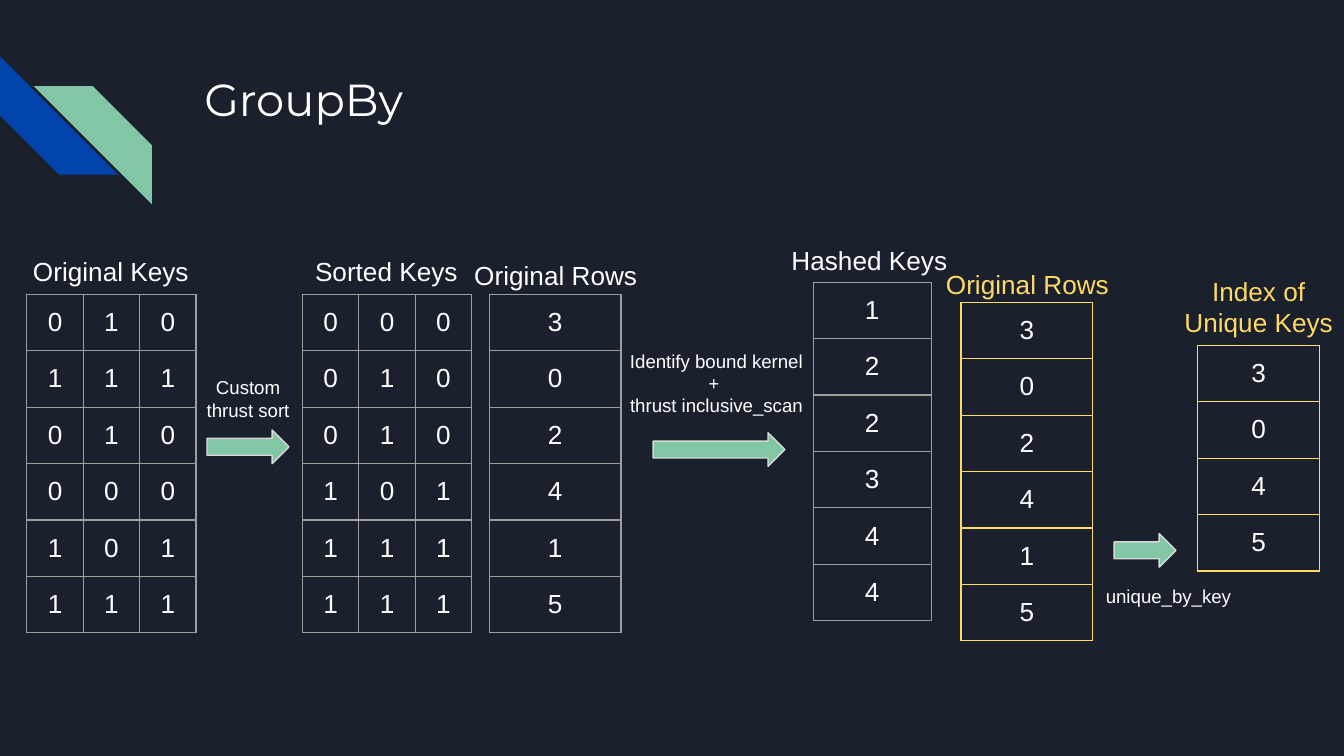
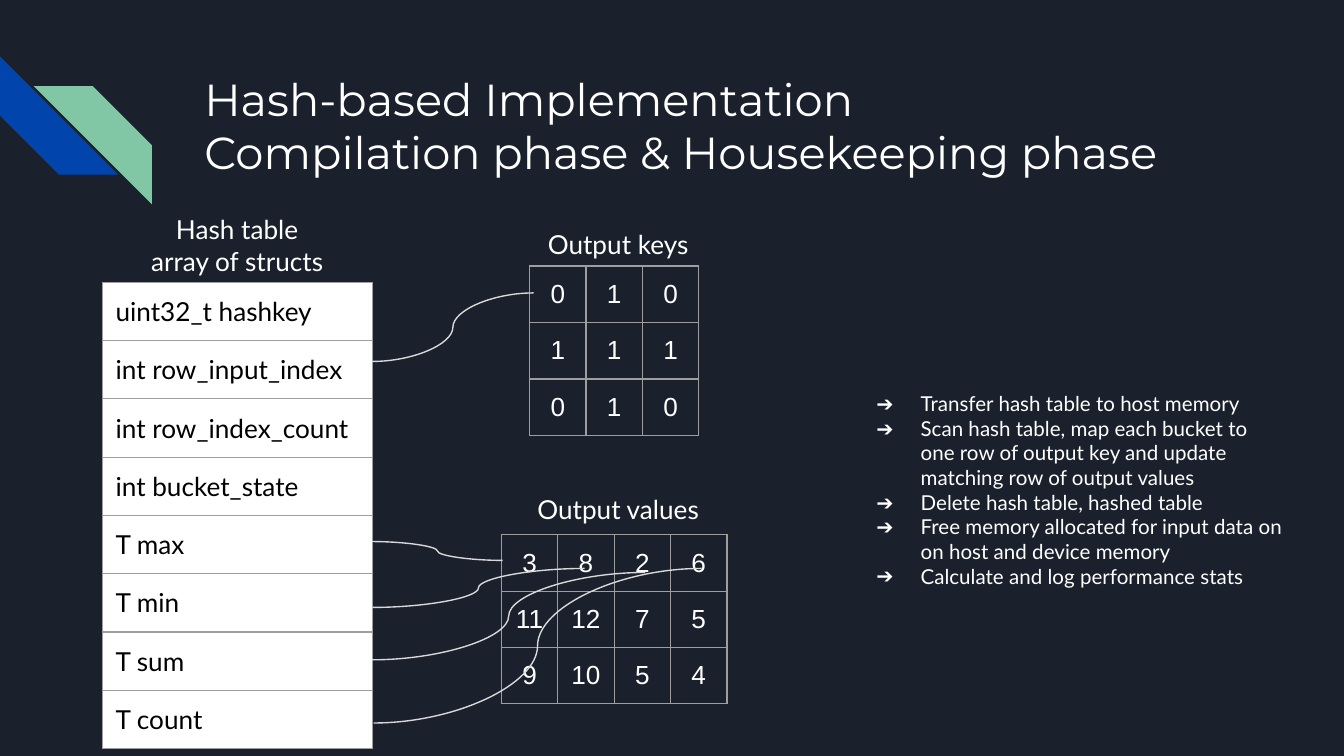
from dataclasses import dataclass

from lxml.etree import SubElement
from pptx import Presentation
from pptx.dml.color import RGBColor
from pptx.enum.shapes import MSO_CONNECTOR, MSO_SHAPE
from pptx.enum.text import MSO_ANCHOR, MSO_AUTO_SIZE, PP_ALIGN
from pptx.oxml.ns import qn
from pptx.util import Inches, Pt


@dataclass(frozen=True)
class Theme:
    background: str = "1B212C"
    blue: str = "0145AC"
    green: str = "82C7A5"
    white: str = "FFFFFF"
    black: str = "000000"
    yellow: str = "FFD966"
    grid: str = "9E9E9E"
    line: str = "D9D9D9"
    sans: str = "Arial"
    body: str = "Lato"
    heading: str = "Montserrat"
    title_size: int = 24
    label_size: int = 14
    bullet_size: int = 11
    note_size: int = 10
    line_width: float = 0.75
    inset: float = 0.1
    cell: float = 0.42


THEME = Theme()
LEFT, CENTER = PP_ALIGN.LEFT, PP_ALIGN.CENTER

GROUPBY_TITLE = "GroupBy"
# left, top, column width, rows, border colour, row heights
GROUPBY_TABLES = [
    (0.2, 2.19, THEME.cell, ["010", "111", "010", "000", "101", "111"], THEME.grid, None),
    (2.25, 2.19, THEME.cell, ["000", "010", "010", "101", "111", "111"], THEME.grid, None),
    (3.64, 2.19, 0.98, "302415", THEME.grid, None),
    (6.05, 2.1, 0.88, "122344", THEME.grid, None),
    (7.15, 2.25, 0.98, "302415", THEME.yellow, None),
    (8.91, 2.57, 0.91, "3045", THEME.yellow, [0.4] + [THEME.cell] * 3),
]
# text, position, alignment, colour
GROUPBY_LABELS = [
    ("Original Keys", (0.13, 1.8, 1.39, 0.25), CENTER, THEME.white),
    ("Sorted Keys", (2.18, 1.8, 1.39, 0.25), CENTER, THEME.white),
    ("Original Rows", (3.39, 1.83, 1.49, 0.3), CENTER, THEME.white),
    ("Hashed Keys", (5.79, 1.72, 1.39, 0.25), LEFT, THEME.white),
    ("Original Rows", (6.9, 1.9, 1.49, 0.3), CENTER, THEME.yellow),
    ("Index of Unique Keys", (8.62, 1.95, 1.49, 0.3), CENTER, THEME.yellow),
]
GROUPBY_NOTES = [
    ("Custom thrust sort", (1.39, 2.7, 0.91, 0.38), CENTER),
    ("Identify bound kernel + \nthrust inclusive_scan", (4.56, 2.5, 1.54, 0.93), CENTER),
    ("unique_by_key", (8.13, 4.25, 1.2, 0.38), LEFT),
]
GROUPBY_ARROWS = [(1.54, 3.2, 0.61, 0.25), (4.86, 3.22, 0.98, 0.25), (8.29, 3.97, 0.46, 0.25)]

HASH_TITLE = "Hash-based Implementation\nCompilation phase & Housekeeping phase"
STRUCT_FIELDS = [
    ["uint32_t hashkey"], ["int row_input_index"], ["int row_index_count"],
    ["int bucket_state"], ["T max"], ["T min"], ["T sum"], ["T count"],
]
OUTPUT_KEYS = ["010", "111", "010"]
OUTPUT_VALUES = [[3, 8, 2, 6], [11, 12, 7, 5], [9, 10, 5, 4]]
HASH_LABELS = [
    ("Hash table\narray of structs", (0.76, 1.49, 2.01, 0.47)),
    ("Output keys", (3.63, 1.6, 1.94, 0.24)),
    ("Output values", (3.63, 3.57, 1.94, 0.24)),
]
FIELD_CURVES = [
    (2.77, 2.69, 3.97, 2.18),
    (2.77, 4.03, 3.74, 4.17),
    (2.77, 4.52, 4.35, 4.23),
    (2.77, 4.91, 4.8, 4.26),
    (2.78, 5.38, 5.22, 4.23),
]
HOUSEKEEPING_STEPS = [
    "Transfer hash table to host memory",
    "Scan hash table, map each bucket to one row of output key and update matching row of output values",
    "Delete hash table, hashed table",
    "Free memory allocated for input data on on host and device memory",
    "Calculate and log performance stats",
]


def inches(values):
    return [Inches(value) for value in values]


def rgb(color):
    return RGBColor.from_string(color)


def add_solid_fill(parent, color):
    SubElement(SubElement(parent, qn("a:solidFill")), qn("a:srgbClr"), val=color)


def style_text(frame, size, font, color, align=LEFT):
    frame.word_wrap = True
    frame.auto_size = MSO_AUTO_SIZE.NONE
    frame.vertical_anchor = MSO_ANCHOR.TOP
    frame.margin_left = frame.margin_right = Inches(THEME.inset)
    frame.margin_top = frame.margin_bottom = Inches(THEME.inset)
    for paragraph in frame.paragraphs:
        style_paragraph(paragraph, size, font, color, align)


def style_paragraph(paragraph, size, font, color, align):
    paragraph.alignment = align
    paragraph.space_before = Pt(0)
    paragraph.font.size = Pt(size)
    paragraph.font.name = font
    paragraph.font.color.rgb = rgb(color)


def place_placeholder(placeholder, text, position, size, font):
    placeholder.left, placeholder.top, placeholder.width, placeholder.height = inches(position)
    placeholder.text_frame.text = text
    style_text(placeholder.text_frame, size, font, THEME.white)


def add_label(slide, text, position, align=CENTER, color=THEME.white,
              size=THEME.label_size, font=THEME.sans):
    box = slide.shapes.add_textbox(*inches(position))
    box.text_frame.text = text
    style_text(box.text_frame, size, font, color, align)


def style_cell(cell, text, border, fill, font, color, align):
    cell.text = str(text)
    cell.margin_left = cell.margin_right = Inches(THEME.inset)
    cell.margin_top = cell.margin_bottom = Inches(THEME.inset)
    style_paragraph(cell.text_frame.paragraphs[0], THEME.label_size, font, color, align)
    properties = cell._tc.get_or_add_tcPr()
    for side in ("lnL", "lnR", "lnT", "lnB"):
        edge = SubElement(properties, qn(f"a:{side}"), w=str(Pt(THEME.line_width)))
        add_solid_fill(edge, border)
    if fill:
        cell.fill.solid()
        cell.fill.fore_color.rgb = rgb(fill)
    else:
        cell.fill.background()


def add_grid(slide, left, top, column_width, rows, border=THEME.grid, heights=None,
             fill=None, font=THEME.sans, color=THEME.white, align=CENTER):
    heights = heights or [THEME.cell] * len(rows)
    columns = len(rows[0])
    table = slide.shapes.add_table(
        len(rows), columns, *inches((left, top, column_width * columns, sum(heights)))
    ).table
    table.first_row = table.horz_banding = False
    for column in table.columns:
        column.width = Inches(column_width)
    for row_index, (values, height) in enumerate(zip(rows, heights)):
        table.rows[row_index].height = Inches(height)
        for column_index, value in enumerate(values):
            style_cell(table.cell(row_index, column_index), value, border, fill, font, color, align)


def add_filled_shape(slide, kind, position, color):
    shape = slide.shapes.add_shape(kind, *inches(position))
    shape.shadow.inherit = False
    shape.fill.solid()
    shape.fill.fore_color.rgb = rgb(color)
    shape.line.fill.background()
    return shape


def add_arrow(slide, position):
    arrow = add_filled_shape(slide, MSO_SHAPE.RIGHT_ARROW, position, THEME.green)
    arrow.line.color.rgb = rgb(THEME.line)
    arrow.line.width = Pt(THEME.line_width)


def add_curve(slide, ends):
    curve = slide.shapes.add_connector(MSO_CONNECTOR.CURVE, *inches(ends))
    curve.line.color.rgb = rgb(THEME.line)
    curve.line.width = Pt(THEME.line_width)
    SubElement(curve.element.spPr, qn("a:effectLst"))


def add_arrow_bullet(paragraph):
    properties = paragraph._p.get_or_add_pPr()
    properties.set("marL", str(Inches(0.5)))
    properties.set("indent", str(Inches(-0.33)))
    SubElement(SubElement(properties, qn("a:buClr")), qn("a:srgbClr"), val=THEME.white)
    SubElement(properties, qn("a:buFont"), typeface=THEME.body)
    SubElement(properties, qn("a:buChar"), char="➔")


def decorate_master(deck, slide):
    """Set the background and move both stripes, drawn on a slide, to the master."""
    master = deck.slide_master
    master.background.fill.solid()
    master.background.fill.fore_color.rgb = rgb(THEME.background)
    blue = add_filled_shape(slide, MSO_SHAPE.DIAGONAL_STRIPE, (0, 0.42, 0.88, 0.88), THEME.blue)
    blue.rotation = 270
    green = add_filled_shape(slide, MSO_SHAPE.DIAGONAL_STRIPE, (0.25, 0.64, 0.88, 0.88), THEME.green)
    green.element.spPr.get_or_add_xfrm().set("flipH", "1")
    for index, stripe in enumerate((blue, green), start=2):
        master.shapes.element.insert(index, stripe.element)


def add_slide(deck, layout_name, title):
    slide = deck.slides.add_slide(deck.slide_layouts.get_by_name(layout_name))
    place_placeholder(slide.shapes.title, title, (1.42, 0.43, 7.7, 1),
                      THEME.title_size, THEME.heading)
    return slide


def build_groupby(deck):
    slide = add_slide(deck, "Title Only", GROUPBY_TITLE)
    decorate_master(deck, slide)
    for table in GROUPBY_TABLES:
        add_grid(slide, *table)
    for label in GROUPBY_LABELS:
        add_label(slide, *label)
    for position in GROUPBY_ARROWS:
        add_arrow(slide, position)
    for note in GROUPBY_NOTES:
        add_label(slide, *note, size=THEME.note_size)


def build_hash_phases(deck):
    slide = add_slide(deck, "Title and Content", HASH_TITLE)
    add_grid(slide, 0.76, 2.1, 2.01, STRUCT_FIELDS, heights=[0.4] * len(STRUCT_FIELDS),
             fill=THEME.white, font=THEME.body, color=THEME.black, align=LEFT)
    add_grid(slide, 3.94, 1.98, THEME.cell, OUTPUT_KEYS)
    add_grid(slide, 3.73, 3.98, THEME.cell, OUTPUT_VALUES, heights=[0.25, 0.38, 0.38])
    for text, position in HASH_LABELS:
        add_label(slide, text, position, font=THEME.body)
    for ends in FIELD_CURVES:
        add_curve(slide, ends)
    body = slide.placeholders[1]
    place_placeholder(body, "\n".join(HOUSEKEEPING_STEPS), (6.25, 2.81, 3.41, 1),
                      THEME.bullet_size, THEME.body)
    for paragraph in body.text_frame.paragraphs:
        add_arrow_bullet(paragraph)


def main():
    deck = Presentation()
    deck.slide_width = Inches(10)
    deck.slide_height = deck.slide_width * 9 // 16
    build_groupby(deck)
    build_hash_phases(deck)
    deck.save("out.pptx")


if __name__ == "__main__":
    main()
